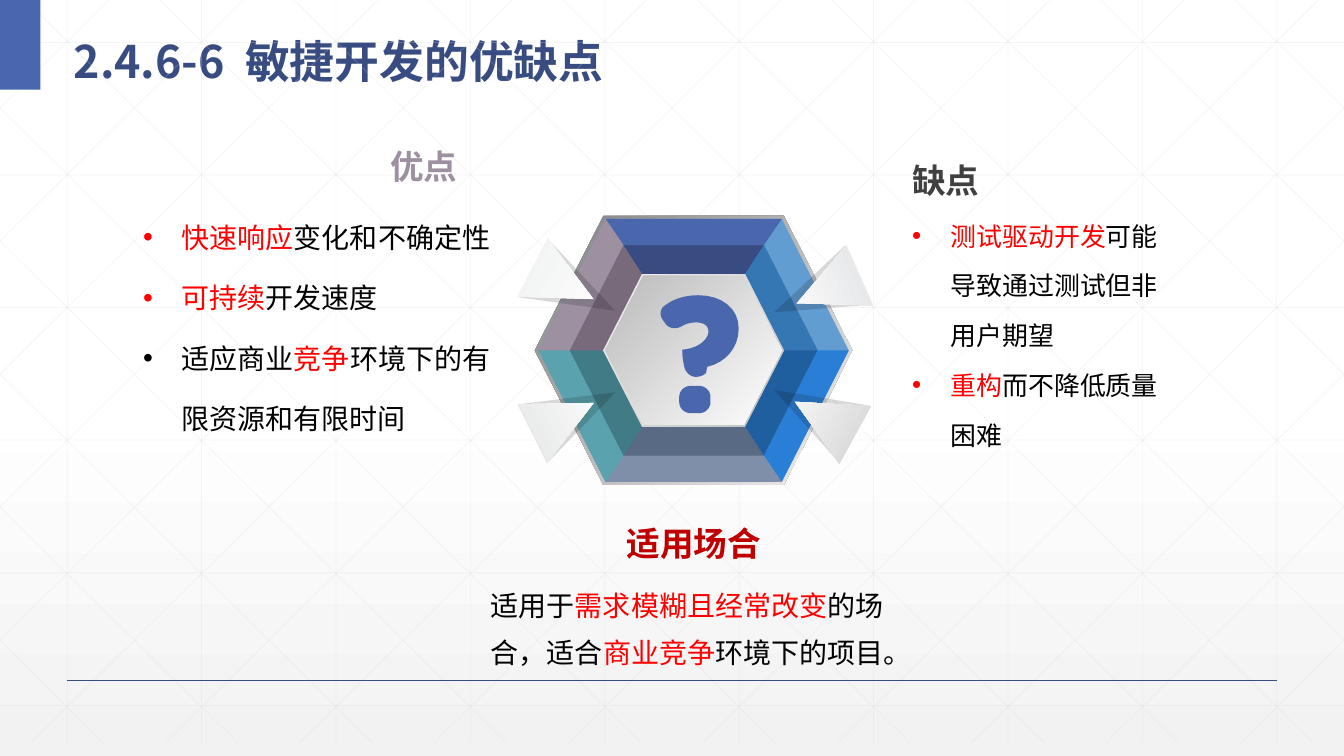
from lxml import etree
from pptx import Presentation, util as u
from pptx.dml.color import RGBColor
from pptx.enum import shapes as kinds, text as t
from pptx.oxml.ns import qn

CJK = "Noto Sans CJK SC"
RED, BLACK, NAVY, BLUE = "FF0000", "000000", "384C81", "4A66AC"
WIDTH, HEIGHT = 33.87, 19.05
LEFT, RIGHT, CENTER = t.PP_ALIGN.LEFT, t.PP_ALIGN.RIGHT, t.PP_ALIGN.CENTER

TITLE = ["2.4.6-6", " ", "敏捷开发的优缺点"]

# text, box (left, top, width, height in cm), colour, alignment, line spacing
HEADINGS = [
    ("缺点", (22.99, 3.28, 6.81, 1.8), "404040", LEFT, 1.7),
    ("优点", (4.47, 3.48, 7.06, 1.4), "9D90A0", RIGHT, 1.0),
    ("适用场合", (13.41, 13.28, 8.15, 0.81), "C00000", CENTER, 1.0),
]

# box, size, font, line spacing, bulleted, paragraphs of (text, colour)
BODIES = [
    ((22.99, 5.08, 6.81, 6.55), 18.5, CJK, 1.6, True, [
        [("测试驱动开发", RED), ("可能导致通过测试但非用户期望", BLACK)],
        [("重构", RED), ("而不降低质量困难", BLACK)]]),
    ((3.61, 4.88, 8.76, 8.41), 20, CJK, 1.8, True, [
        [("快速响应", RED), ("变化和不确定性", BLACK)],
        [("可持续", RED), ("开发速度", BLACK)],
        [("适应商业", BLACK), ("竞争", RED), ("环境下的有限资源和有限时间", BLACK)]]),
    ((12.37, 14.48, 10.59, 2.64), 20, "Arial", 1.4, False, [
        [("适用于", BLACK), ("需求模糊且经常改变", RED), ("的场合，适合", BLACK),
         ("商业竞争", RED), ("环境下的项目。", BLACK)]]),
]

# concentric hexagons: width, height, fill (colour or gradient pair with angle)
HUB = (17.48, 8.83)
RIM, MIDDLE, INNER = (7.82, 6.63), (6.25, 5.31), (4.57, 3.86)
HEXAGONS = [
    ((8.0, 6.78), ("808080", "F2F2F2", 45)),
    (RIM, "629DD1"),
    (MIDDLE, BLUE),
    (INNER, ("BFBFBF", "F2F2F2", 225)),
    ((4.45, 3.76), ("FFFFFF", "BABABA", 225)),
]
CORNER = 0.255  # hexagon corner inset as a share of its height

# facets clockwise from the top; None lets the hexagon below show
FACETS = [
    (MIDDLE, INNER, [NAVY, "3477B2", "1F5FA0", "596A85", "417B85", "78697B"]),
    (RIM, MIDDLE, [BLUE, None, "297FD5", "7F8FA9", "5AA2AE", "9D90A0"]),
]

# rotation, shade centre, flap centre, flap end colour
FLAPS = [
    (298.8, (20.52, 10.38), (20.79, 10.54), "D3D3D4"),
    (246.1, (20.57, 7.4), (20.87, 7.29), "E2E3E4"),
    (63.5, (14.48, 10.4), (14.19, 10.54), "E4E5E6"),
    (117.4, (14.48, 7.3), (14.19, 7.14), "F0F1F1"),
]

# question mark outlines: pairs are corners, sixes are Bezier curves
MARK_AT, MARK_UNIT = (16.66, 7.44), 0.0254
MARK = [
    [(29, 90), (38, 90), (44, 90, 49, 95, 49, 101), (49, 106),
     (49, 112, 44, 117, 38, 117), (29, 117), (23, 117, 18, 112, 18, 106),
     (18, 101), (18, 95, 23, 90, 29, 90)],
    [(37, 0), (60, 0, 77, 13, 77, 33), (77, 53, 63, 67, 46, 71),
     (46, 71, 45, 73, 45, 76), (44, 79, 39, 81, 34, 81), (29, 81, 24, 76, 23, 71),
     (22, 66), (21, 60, 21, 55, 21, 54), (22, 54), (40, 52, 47, 42, 47, 36),
     (47, 30, 42, 27, 35, 27), (30, 27, 25, 28, 20, 31), (15, 34, 8, 33, 5, 29),
     (2, 25), (-2, 20, -1, 13, 4, 10), (12, 4, 23, 0, 37, 0)],
]


def rgb(code):
    return RGBColor.from_string(code)


def set_alpha(fill_element, percent):
    color = next(fill_element.iter(qn("a:srgbClr")))
    etree.SubElement(color, qn("a:alpha")).set("val", str(percent * 1000))


def paint(fill, look, start=0):
    """Fill with one colour, or with (first, last, clockwise angle)."""
    if isinstance(look, str):
        fill.solid()
        fill.fore_color.rgb = rgb(look)
        return
    first, last, angle = look
    fill.gradient()
    fill.gradient_angle = 360 - angle
    for stop, color, position in zip(fill.gradient_stops, (first, last), (start, 1)):
        stop.color.rgb = rgb(color)
        stop.position = position


def finish(shape, look):
    shape.shadow.inherit = False
    shape.line.fill.background()
    paint(shape.fill, look)


def add_centered(kind, center, size, look, rotation=0):
    (x, y), (w, h) = center, size
    shape = slide.shapes.add_shape(kind, u.Cm(x - w / 2), u.Cm(y - h / 2), u.Cm(w), u.Cm(h))
    shape.rotation = rotation
    finish(shape, look)
    return shape


def add_outline(contours, look):
    contours = [[(u.Cm(x), u.Cm(y)) for x, y in contour] for contour in contours]
    builder = slide.shapes.build_freeform(*contours[0][0])
    for i, contour in enumerate(contours):
        if i:
            builder.move_to(*contour[0])
        builder.add_line_segments(contour[1:], close=True)
    finish(builder.convert_to_shape(), look)


def add_line(x1, y1, x2, y2, color, weight, alpha=100):
    line = slide.shapes.add_connector(
        kinds.MSO_CONNECTOR.STRAIGHT, u.Cm(x1), u.Cm(y1), u.Cm(x2), u.Cm(y2))
    line.line.color.rgb = rgb(color)
    line.line.width = u.Pt(weight)
    properties = line._element.spPr
    if alpha < 100:
        set_alpha(properties, alpha)
    etree.SubElement(properties, qn("a:effectLst"))


def add_text_box(box):
    frame = slide.shapes.add_textbox(*map(u.Cm, box)).text_frame
    frame.word_wrap = True
    frame.margin_left = frame.margin_right = frame.margin_top = frame.margin_bottom = 0
    return frame


def add_run(paragraph, words, size, color, font, bold=False):
    run = paragraph.add_run()
    run.text = words
    run.font.size, run.font.bold, run.font.name = u.Pt(size), bold, font
    run.font.color.rgb = rgb(color)
    etree.SubElement(run.font._element, qn("a:ea")).set("typeface", CJK)
    return run


def add_bullet(paragraph):
    properties = paragraph._p.get_or_add_pPr()
    properties.set("marL", str(u.Cm(0.97)))
    properties.set("indent", str(-u.Cm(0.97)))
    etree.SubElement(properties, qn("a:buFont")).set("typeface", "Arial")
    etree.SubElement(properties, qn("a:buChar")).set("char", "•")


def corners(size):
    """Hexagon corners around the hub, clockwise from top left."""
    (x, y), (w, h) = HUB, size
    flat, side, rise = w / 2 - CORNER * h, w / 2, h / 2
    return [(x - flat, y - rise), (x + flat, y - rise), (x + side, y),
            (x + flat, y + rise), (x - flat, y + rise), (x - side, y)]


def trace(contour, steps=8):
    """Turn corners and curves into points in cm."""
    points = [contour[0]]
    for part in contour[1:]:
        if len(part) == 2:
            points.append(part)
            continue
        ends = list(zip((points[-1] + part)[::2], (points[-1] + part)[1::2]))
        for step in range(1, steps + 1):
            s = step / steps
            weights = ((1 - s) ** 3, 3 * s * (1 - s) ** 2, 3 * s * s * (1 - s), s ** 3)
            points.append(tuple(sum(k * p[axis] for k, p in zip(weights, ends))
                                for axis in (0, 1)))
    return [(MARK_AT[0] + x * MARK_UNIT, MARK_AT[1] + y * MARK_UNIT) for x, y in points]


def add_grid():
    grid = ("D9D9D9", 0.5, 25)
    pitch, bottom, slope = WIDTH / 10, 18.72, 1.01
    for i in range(10):
        add_line((i + 0.5) * pitch, 0, (i + 0.5) * pitch, bottom, *grid)
    for i in range(6):
        y = 1.07 + 3.34 * i
        add_line(0, y, WIDTH, y, *grid)
    for i in range(-5, 10):
        x = 0.64 + i * pitch
        y1, y2 = max(0, -x / slope), min(bottom, (WIDTH - x) / slope)
        x1, x2 = x + slope * y1, x + slope * y2
        add_line(x1, y1, x2, y2, *grid)
        add_line(WIDTH - x1, y1, WIDTH - x2, y2, *grid)


deck = Presentation()
deck.slide_width, deck.slide_height = u.Cm(WIDTH), u.Cm(HEIGHT)
slide = deck.slides.add_slide(deck.slide_layouts[5])
paint(slide.background.fill, ("FFFFFF", "F2F2F2", 90), start=0.53)
add_grid()
add_line(1.7, 17.14, 32.17, 17.14, NAVY, 1)
add_centered(kinds.MSO_SHAPE.RECTANGLE, (0.51, 1.13), (1.02, 2.26), BLUE)

title = slide.shapes.title
title.left, title.top, title.width, title.height = map(u.Cm, (1.6, 0.41, 29.26, 1.85))
title.text_frame.vertical_anchor = t.MSO_ANCHOR.MIDDLE
heading = title.text_frame.paragraphs[0]
heading.alignment, heading.line_spacing = LEFT, 1.3
number, gap, topic = [add_run(heading, part, 32, NAVY, CJK, True) for part in TITLE]
gap.font._element.set("spc", "700")

for size, look in HEXAGONS:
    add_centered(kinds.MSO_SHAPE.HEXAGON, HUB, size, look).adjustments[0] = CORNER
for outer, inner, colors in FACETS:
    out, into = corners(outer), corners(inner)
    for i, color in enumerate(colors):
        if color:
            j = (i + 1) % 6
            add_outline([[out[i], out[j], into[j], into[i]]], color)
for rotation, shade_at, flap_at, end in FLAPS:
    triangle = kinds.MSO_SHAPE.ISOSCELES_TRIANGLE
    shade = add_centered(triangle, shade_at, (1.63, 2.31), "0D0D0D", rotation)
    set_alpha(shade._element.spPr, 16)
    add_centered(triangle, flap_at, (1.65, 1.73), ("FFFFFF", end, 90), rotation)
add_outline([trace(contour) for contour in MARK], BLUE)

for words, box, color, alignment, spacing in HEADINGS:
    frame = add_text_box(box)
    frame.vertical_anchor = t.MSO_ANCHOR.MIDDLE
    label = frame.paragraphs[0]
    label.alignment, label.line_spacing = alignment, spacing
    add_run(label, words, 24, color, "Arial", True)
for box, size, font, spacing, bulleted, points in BODIES:
    frame = add_text_box(box)
    for i, point in enumerate(points):
        line = frame.add_paragraph() if i else frame.paragraphs[0]
        line.line_spacing = spacing
        if bulleted:
            add_bullet(line)
        for words, color in point:
            add_run(line, words, size, color, font)

deck.save("out.pptx")
